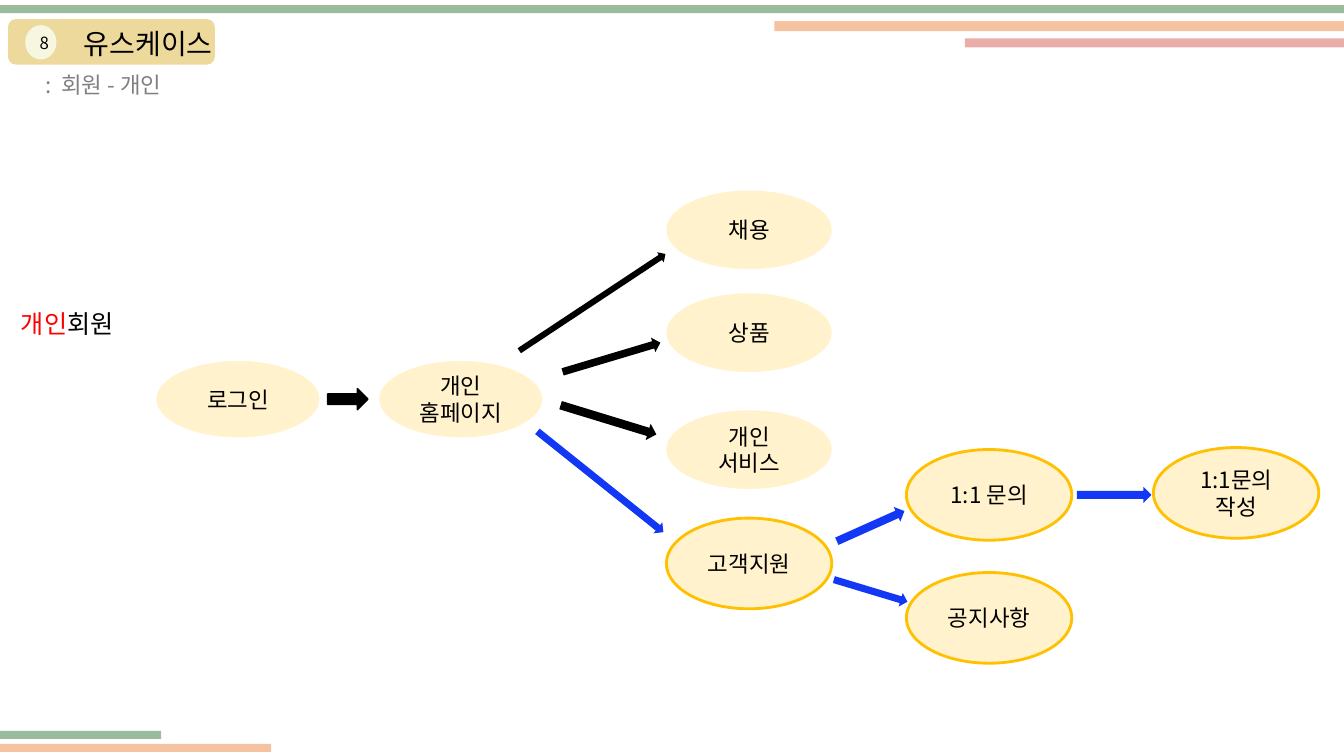
from dataclasses import dataclass
from math import atan2, degrees, hypot

from lxml.etree import SubElement
from pptx import Presentation
from pptx.dml.color import RGBColor
from pptx.enum.shapes import MSO_SHAPE as Shape
from pptx.enum.text import MSO_ANCHOR as Anchor, MSO_AUTO_SIZE as AutoSize, PP_ALIGN as Align
from pptx.oxml.ns import qn
from pptx.util import Inches, Pt


@dataclass(frozen=True)
class Theme:
    font: str = "Noto Sans CJK KR"
    black: str = "000000"
    white: str = "FFFFFF"
    gray: str = "808080"
    red: str = "FF0000"
    blue: str = "1238F6"
    cream: str = "FFF2CC"
    gold: str = "FFC000"
    sand: str = "EED99D"
    ivory: str = "F7F7E1"
    green: str = "9ABC9C"
    peach: str = "F6C3A0"
    pink: str = "EAADA8"
    title: int = 20
    label: int = 18
    body: int = 16
    number: int = 12


T = Theme()
WIDTH, HEIGHT = 13.33, 7.5

TITLE = "유스케이스"
SUBTITLE = ":  회원 - 개인"
NUMBER = "8"
MEMBER = [("개인", T.red), ("회원", T.black)]

# Node styles: height, outline colour, outline width
PLAIN = (0.78, None, 0)
START = (0.78, T.white, 1.5)
ACTIVE = (0.9, T.gold, 2)
NODE_WIDTH = 1.64
COLUMNS = [1.54, 3.75, 6.61, 8.99, 11.44]
# Text, column, top, style
NODES = [
    ("로그인", 0, 3.57, START),
    ("개인\n홈페이지", 1, 3.57, START),
    ("채용", 2, 1.89, PLAIN),
    ("상품", 2, 2.91, PLAIN),
    ("개인\n서비스", 2, 4.07, PLAIN),
    ("고객지원", 2, 5.14, ACTIVE),
    ("1:1 문의", 3, 4.46, ACTIVE),
    ("공지사항", 3, 5.68, ACTIVE),
    ("1:1문의\n작성", 4, 4.44, ACTIVE),
]
# Tail, head, thickness, colour, outline width
ARROWS = [
    ((3.25, 3.96), (3.65, 3.96), 0.21, T.black, 1),
    ((5.15, 3.48), (6.6, 2.52), 0.12, T.black, 0),
    ((5.58, 3.69), (6.55, 3.4), 0.15, T.black, 0),
    ((5.56, 4.02), (6.51, 4.31), 0.17, T.black, 0),
    ((5.33, 4.28), (6.58, 5.28), 0.14, T.blue, 0),
    ((8.3, 5.37), (8.97, 5.07), 0.16, T.blue, 0),
    ((8.27, 5.75), (9, 5.97), 0.14, T.blue, 0),
    ((10.68, 4.91), (11.42, 4.91), 0.16, T.blue, 0),
]
# Side, top, width, height, colour
BARS = [
    ("left", 0.05, WIDTH, 0.08, T.green),
    ("right", 0.21, 5.65, 0.1, T.peach),
    ("right", 0.38, 3.76, 0.09, T.pink),
    ("left", 7.25, 1.6, 0.08, T.green),
    ("left", 7.38, 2.69, 0.08, T.peach),
]


def rgb(color):
    return RGBColor.from_string(color)


def style_run(r, size, color):
    r.font.size, r.font.name = Pt(size), T.font
    r.font.color.rgb = rgb(color)
    SubElement(r.font._element, qn("a:ea"), typeface=T.font)


def write(sp, text, size, color=T.black, align=Align.LEFT, anchor=Anchor.MIDDLE):
    tf = sp.text_frame
    tf.text = text
    tf.word_wrap, tf.vertical_anchor = True, anchor
    for p in tf.paragraphs:
        p.alignment = align
        for r in p.runs:
            style_run(r, size, color)


def add_shape(slide, kind, box, fill, line=None, line_width=0):
    sp = slide.shapes.add_shape(kind, *map(Inches, box))
    sp.shadow.inherit = False
    sp.fill.solid()
    sp.fill.fore_color.rgb = rgb(fill)
    if line:
        sp.line.color.rgb = rgb(line)
        sp.line.width = Pt(line_width)
    else:
        sp.line.fill.background()
    return sp


def add_arrow(slide, tail, head, thickness, color, line_width):
    """Block arrow turned to run from tail to head."""
    dx, dy = head[0] - tail[0], head[1] - tail[1]
    length = hypot(dx, dy)
    left = (tail[0] + head[0] - length) / 2
    top = (tail[1] + head[1] - thickness) / 2
    sp = add_shape(slide, Shape.RIGHT_ARROW, (left, top, length, thickness), color,
                   color if line_width else None, line_width)
    sp.rotation = degrees(atan2(dy, dx)) % 360


def add_header(slide):
    add_shape(slide, Shape.ROUNDED_RECTANGLE, (0.08, 0.19, 2.05, 0.45), T.sand)
    title = slide.shapes.title
    title.left, title.top, title.width, title.height = map(Inches, (0.73, 0.21, 2.05, 0.44))
    write(title, TITLE, T.title, anchor=Anchor.TOP)
    title.text_frame.auto_size = AutoSize.NONE
    slide.shapes._spTree.append(title._element)  # bring in front of the badge
    subtitle = slide.shapes.add_textbox(*map(Inches, (0.35, 0.66, 2.34, 0.37)))
    write(subtitle, SUBTITLE, T.body, T.gray, anchor=Anchor.TOP)
    number = add_shape(slide, Shape.OVAL, (0.25, 0.25, 0.31, 0.34), T.ivory)
    write(number, NUMBER, T.number)


def add_member_label(slide):
    tf = slide.shapes.add_textbox(*map(Inches, (0.11, 3.01, 1.29, 0.4))).text_frame
    tf.word_wrap = True
    p = tf.paragraphs[0]
    p.alignment = Align.JUSTIFY
    for text, color in MEMBER:
        r = p.add_run()
        r.text = text
        style_run(r, T.label, color)


def main():
    prs = Presentation()
    prs.slide_width, prs.slide_height = Inches(WIDTH), Inches(HEIGHT)
    slide = prs.slides.add_slide(prs.slide_layouts[5])
    for text, column, top, (height, line, line_width) in NODES:
        box = (COLUMNS[column], top, NODE_WIDTH, height)
        node = add_shape(slide, Shape.OVAL, box, T.cream, line, line_width)
        write(node, text, T.body, align=Align.CENTER)
    for arrow in ARROWS:
        add_arrow(slide, *arrow)
    add_header(slide)
    for side, top, width, height, color in BARS:
        left = WIDTH - width if side == "right" else 0
        add_shape(slide, Shape.RECTANGLE, (left, top, width, height), color)
    add_member_label(slide)
    prs.save("out.pptx")


if __name__ == "__main__":
    main()
